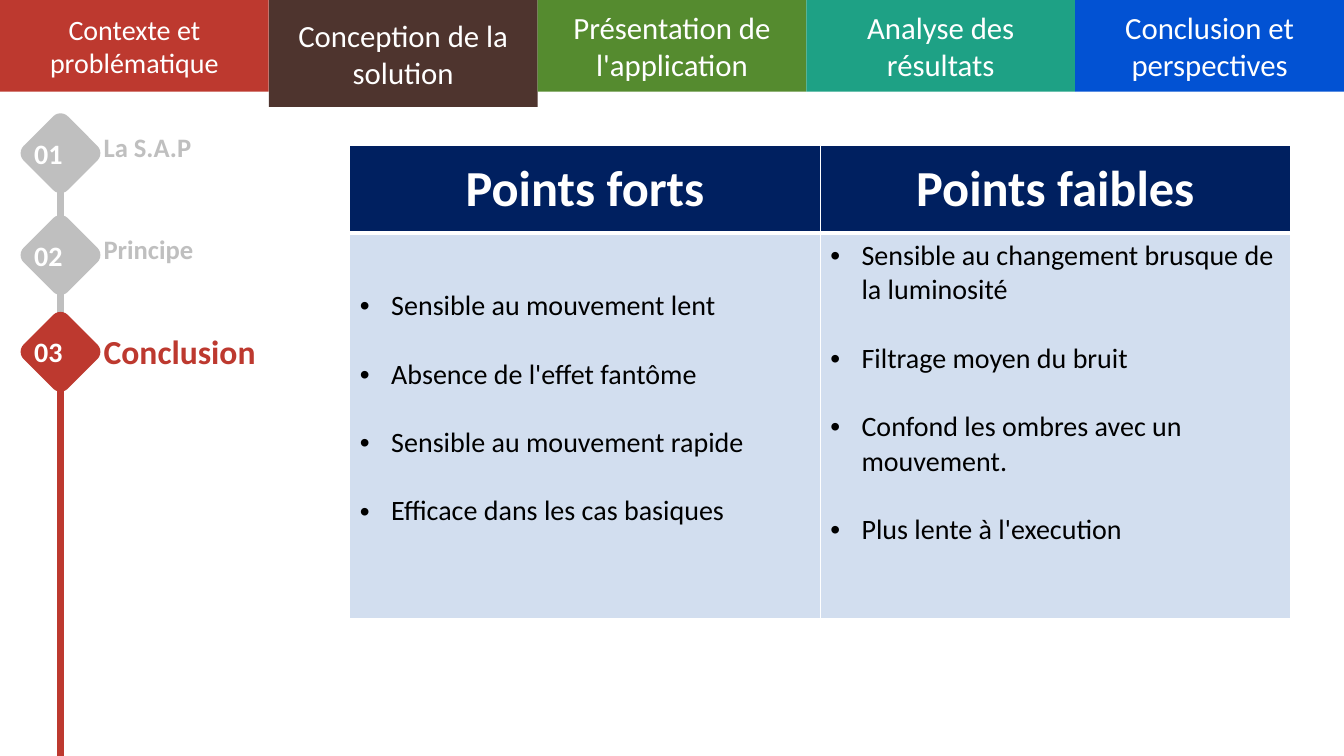
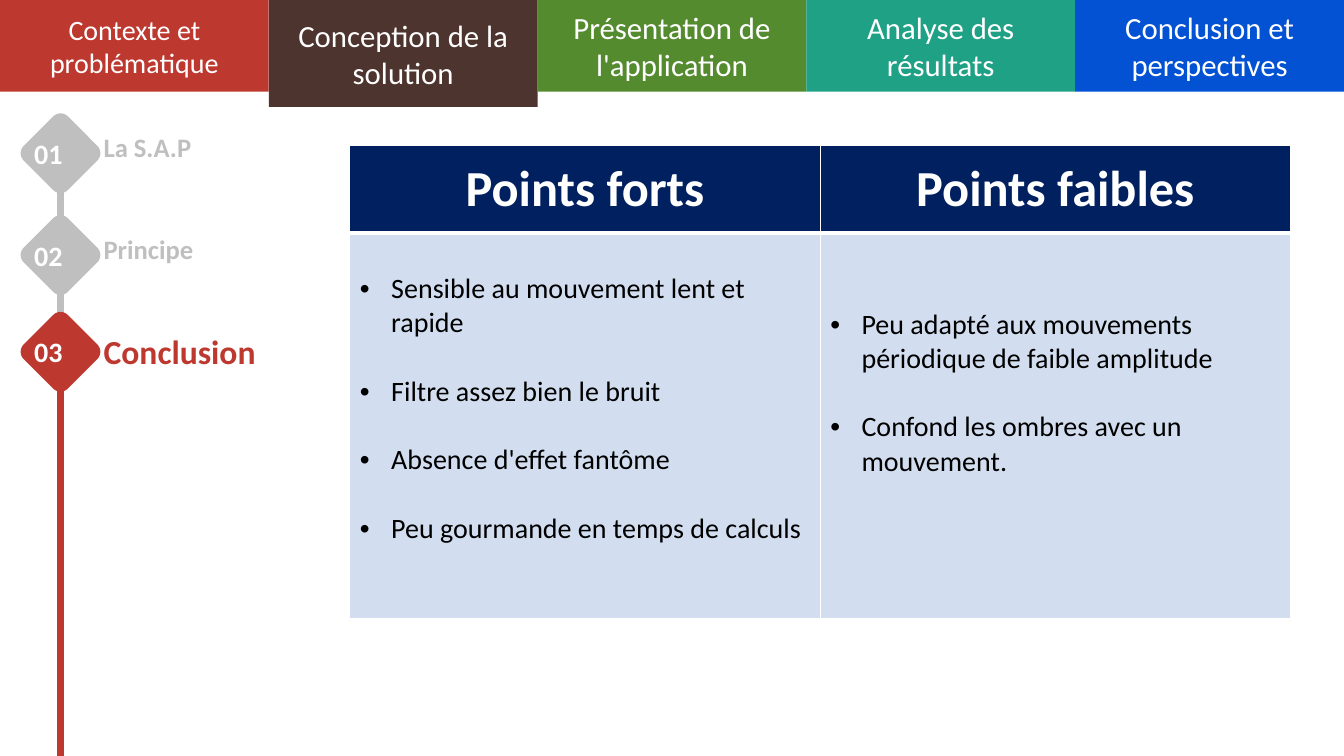
from lxml import etree
from pptx import Presentation
from pptx import util as u
from pptx.dml.color import RGBColor
from pptx.enum import shapes, text
from pptx.oxml import ns

FONT = "Calibri"
WHITE, BLACK, MUTED, ACCENT = "FFFFFF", "000000", "BFBFBF", "BD392F"
HEAD, BODY = "002060", "D2DEEF"
WIDTH, HEIGHT = 13.33, 7.5
TABS = [
    ("Contexte et problématique", "BD392F", 20),
    ("Conception de la solution", "4E342E", 22),
    ("Présentation de l'application", "558B2F", 22),
    ("Analyse des résultats", "1EA185", 22),
    ("Conclusion et perspectives", "0252D3", 22),
]
CURRENT_TAB = 1
STEPS = [("La S.A.P", 0.46), ("Principe", 1.47), ("Conclusion", 2.43)]
CURRENT_STEP = 2
HEADINGS = ["Points forts", "Points faibles"]
SPARE = [0.39, 0.7]
SLIDES = [
    [
        [
            "Sensible au mouvement lent",
            "Absence de l'effet fantôme",
            "Sensible au mouvement rapide",
            "Efficace dans les cas basiques",
        ],
        [
            "Sensible au changement brusque de la luminosité",
            "Filtrage moyen du bruit",
            "Confond les ombres avec un mouvement.",
            "Plus lente à l'execution",
        ],
    ],
    [
        [
            "Sensible au mouvement lent et rapide",
            "Filtre assez bien le bruit",
            "Absence d'effet fantôme",
            "Peu gourmande en temps de calculs",
        ],
        [
            "Peu adapté aux mouvements périodique de faible amplitude",
            "Confond les ombres avec un mouvement.",
        ],
    ],
]


def rgb(value):
    return RGBColor.from_string(value)


def inches(*values):
    return [u.Inches(v) for v in values]


def style(p, size, color, bold=False, align=text.PP_ALIGN.LEFT):
    p.alignment = align
    for r in p.runs:
        r.font.name = FONT
        r.font.size = u.Pt(size)
        r.font.bold = bold
        r.font.color.rgb = rgb(color)


def write(tf, words, size, color, bold=False, align=text.PP_ALIGN.CENTER):
    tf.text = words
    tf.word_wrap = True
    tf.vertical_anchor = text.MSO_ANCHOR.MIDDLE
    style(tf.paragraphs[0], size, color, bold, align)


def add_block(slide, kind, box, fill):
    sp = slide.shapes.add_shape(kind, *inches(*box))
    sp.shadow.inherit = False
    sp.fill.solid()
    sp.fill.fore_color.rgb = rgb(fill)
    sp.line.fill.background()
    return sp


def add_label(slide, box, words, size, color, align):
    sp = slide.shapes.add_textbox(*inches(*box))
    write(sp.text_frame, words, size, color, True, align)


def add_rail(slide, x, top, bottom, color):
    line = slide.shapes.add_connector(
        shapes.MSO_CONNECTOR.STRAIGHT, *inches(x, top, x, bottom))
    line.line.width = u.Pt(5)
    line.line.color.rgb = rgb(color)
    etree.SubElement(line._element.spPr, ns.qn("a:effectLst"))


def add_tabs(slide, box):
    left, top, width, height = box
    tab_width = width / len(TABS)
    for i, (words, fill, size) in enumerate(TABS):
        tab_height = height + (0.15 if i == CURRENT_TAB else 0)
        sp = add_block(slide, shapes.MSO_SHAPE.RECTANGLE,
                       (left + i * tab_width, top, tab_width, tab_height), fill)
        write(sp.text_frame, words, size, WHITE)


def add_steps(slide, box):
    left, top, width, height = box
    side, label_height = 0.62, 0.5
    axis = left + 0.6
    centers = [top + offset for _, offset in STEPS]
    ends = centers[1:] + [top + height]
    for i, ((words, _), center, end) in enumerate(zip(STEPS, centers, ends)):
        active = i == CURRENT_STEP
        color = ACCENT if active else MUTED
        sp = add_block(slide, shapes.MSO_SHAPE.ROUNDED_RECTANGLE,
                       (axis - side / 2, center - side / 2, side, side), color)
        sp.rotation = 45
        add_rail(slide, axis, center + 0.3, end, color)
        add_label(slide, (axis - 0.52, center - label_height / 2, 0.8, label_height),
                  f"{i + 1:02}", 20, WHITE, text.PP_ALIGN.CENTER)
        lift = 0.01 if active else 0.06
        add_label(slide, (left + 0.93, center - lift - label_height / 2,
                          width - 0.93, label_height),
                  words, 24 if active else 19, color, text.PP_ALIGN.LEFT)


def paint_cell(cell, fill, top, bottom):
    tc_pr = cell._tc.get_or_add_tcPr()
    for side, points in zip("LRTB", (1, 1, top, bottom)):
        ln = etree.SubElement(tc_pr, ns.qn(f"a:ln{side}"), w=str(u.Pt(points)))
        solid = etree.SubElement(ln, ns.qn("a:solidFill"))
        etree.SubElement(solid, ns.qn("a:srgbClr"), val=WHITE)
    cell.fill.solid()
    cell.fill.fore_color.rgb = rgb(fill)
    cell.vertical_anchor = text.MSO_ANCHOR.MIDDLE


def write_bullets(tf, items):
    for i, words in enumerate(items):
        p = tf.paragraphs[0] if i == 0 else tf.add_paragraph()
        p.text = words
        p_pr = p._p.get_or_add_pPr()
        p_pr.set("marL", str(u.Inches(0.31)))
        p_pr.set("indent", str(-u.Inches(0.31)))
        etree.SubElement(p_pr, ns.qn("a:buFont"), typeface="Arial")
        etree.SubElement(p_pr, ns.qn("a:buChar"), char="•")
        if i:
            p.space_before = u.Pt(24.4)
        style(p, 20, BLACK)


def add_comparison(slide, box, columns):
    head_height = 0.87
    table = slide.shapes.add_table(2, len(columns), *inches(*box)).table
    table.horz_banding = False
    table.rows[0].height = u.Inches(head_height)
    table.rows[1].height = u.Inches(box[3] - head_height)
    for i, (heading, items, spare) in enumerate(zip(HEADINGS, columns, SPARE)):
        head, body = table.cell(0, i), table.cell(1, i)
        paint_cell(head, HEAD, 1, 3)
        head.text_frame.text = heading
        style(head.text_frame.paragraphs[0], 36, WHITE, True, text.PP_ALIGN.CENTER)
        paint_cell(body, BODY, 3, 1)
        body.margin_bottom = u.Inches(spare)
        write_bullets(body.text_frame, items)


def add_slide(prs, columns):
    slide = prs.slides.add_slide(prs.slide_layouts[6])
    tabs_height = 0.91
    steps_top = 1.06
    add_tabs(slide, (0, 0, WIDTH, tabs_height))
    add_steps(slide, (0, steps_top, WIDTH / 4, HEIGHT - steps_top))
    add_comparison(slide, (3.47, 1.44, 9.33, 4.7), columns)


def main():
    prs = Presentation()
    prs.slide_width, prs.slide_height = inches(WIDTH, HEIGHT)
    for columns in SLIDES:
        add_slide(prs, columns)
    prs.save("out.pptx")


if __name__ == "__main__":
    main()
